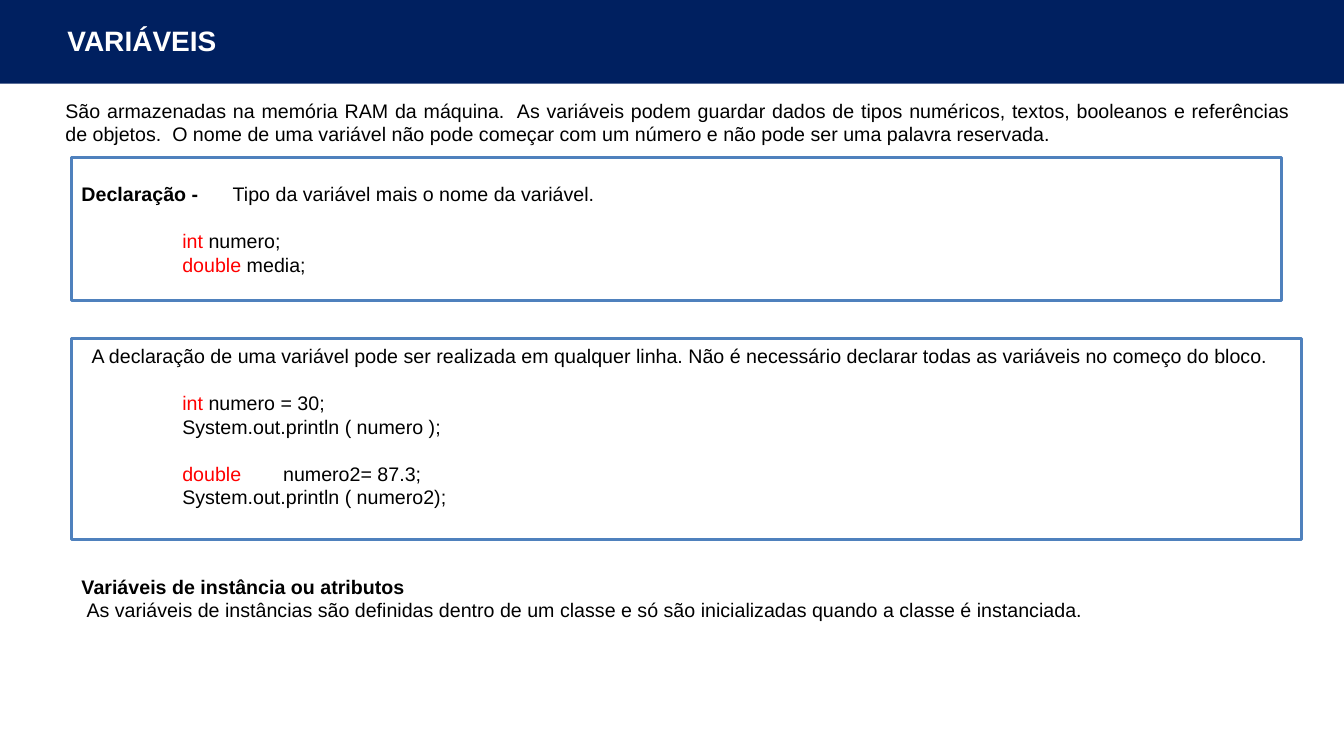
"""Build the slide on variables: declaration, use and instance attributes."""
import pptx
import pptx.util
import pptx.dml.color
import pptx.enum.shapes
import pptx.enum.text
import pptx.oxml.ns
from lxml import etree

Inches, Pt = pptx.util.Inches, pptx.util.Pt
RGB = pptx.dml.color.RGBColor.from_string
ALIGN, ANCHOR = pptx.enum.text.PP_ALIGN, pptx.enum.text.MSO_ANCHOR
RECT = pptx.enum.shapes.MSO_SHAPE.RECTANGLE

THEME = {
    "font": "Arial", "title": 20, "body": 14, "gap": 17,
    "navy": "002060", "blue": "4F81BD", "red": "FF0000",
    "white": "FFFFFF", "black": "000000",
}


def add_box(left, top, width, height, fill=None, line=None):
    """Add a text box, or a rectangle when a fill is given."""
    box = (Inches(left), Inches(top), Inches(width), Inches(height))
    if fill is None:
        sp = s.shapes.add_textbox(*box)
    else:
        sp = s.shapes.add_shape(RECT, *box)
        sp.shadow.inherit = False
        sp.fill.solid()
        sp.fill.fore_color.rgb = RGB(THEME[fill])
        if line:
            sp.line.color.rgb = RGB(THEME[line])
            sp.line.width = Pt(2)
        else:
            sp.line.fill.background()
    sp.text_frame.word_wrap = True
    return sp


def write(sp, lines, anchor=ANCHOR.TOP):
    """Write lines of (runs, options), each run being (text, colour, bold)."""
    tf = sp.text_frame
    tf.vertical_anchor = anchor
    for i, (runs, opt) in enumerate(lines):
        p = tf.paragraphs[0] if i == 0 else tf.add_paragraph()
        p.alignment = opt.get("align", ALIGN.LEFT)
        p.font.name = THEME["font"]
        p.font.size = Pt(opt.get("size", THEME["body"]))
        p.space_before = Pt(THEME["gap"] if opt.get("gap") else 0)
        pPr = p._p.get_or_add_pPr()
        pPr.set("marL", str(Inches(opt.get("indent", 0))))
        pPr.set("indent", "0")
        if "tab" in opt:
            tabs = etree.Element(pptx.oxml.ns.qn("a:tabLst"))
            etree.SubElement(tabs, pptx.oxml.ns.qn("a:tab"),
                             pos=str(Inches(opt["tab"])), algn="l")
            pPr.find(pptx.oxml.ns.qn("a:defRPr")).addprevious(tabs)
        for text, colour, bold in runs:
            r = p.add_run()
            r.text = text
            r.font.bold = bold
            r.font.color.rgb = RGB(THEME[colour])


prs = pptx.Presentation()
prs.slide_width, prs.slide_height = Inches(13.33), Inches(7.5)
s = prs.slides.add_slide(prs.slide_layouts[6])

add_box(0, 0, 13.33, 0.83, "navy")
write(add_box(0.57, 0, 12, 0.79),
      [([("VARIÁVEIS", "white", True)], {"size": THEME["title"]})], ANCHOR.MIDDLE)

write(add_box(0.55, 0.93, 12.35, 0.86), [
    ([("São armazenadas na memória RAM da máquina.  As variáveis podem guardar "
       "dados de tipos numéricos, textos, booleanos e referências de objetos.  "
       "O nome de uma variável não pode começar com um número e não pode ser "
       "uma palavra reservada.", "black", False)], {"align": ALIGN.JUSTIFY}),
])

write(add_box(0.71, 1.56, 12, 1.42, "white", "blue"), [
    ([("Declaração -", "black", True),
      ("\tTipo da variável mais o nome da variável.", "black", False)], {"tab": 1.31}),
    ([("int ", "red", False), ("numero;", "black", False)], {"indent": 1, "gap": True}),
    ([("double", "red", False), (" media;", "black", False)], {"indent": 1}),
], ANCHOR.MIDDLE)

write(add_box(0.71, 3.36, 12.2, 1.99, "white", "blue"), [
    ([("A declaração de uma variável pode ser realizada em qualquer linha. Não é "
       "necessário declarar todas as variáveis no começo do bloco.", "black", False)],
     {"align": ALIGN.JUSTIFY, "indent": 0.1}),
    ([("int ", "red", False), ("numero = 30;", "black", False)],
     {"indent": 1, "gap": True}),
    ([("System.out.println ( numero );", "black", False)], {"indent": 1}),
    ([("double", "red", False), ("\tnumero2= 87.3;", "black", False)],
     {"indent": 1, "gap": True, "tab": 1.75}),
    ([("System.out.println ( numero2);", "black", False)], {"indent": 1}),
])

write(add_box(0.71, 5.65, 12.11, 0.57), [
    ([("Variáveis de instância ou atributos", "black", True)], {}),
    ([("As variáveis de instâncias são definidas dentro de um classe e só são "
       "inicializadas quando a classe é instanciada.", "black", False)],
     {"indent": 0.05}),
])

prs.save("out.pptx")
